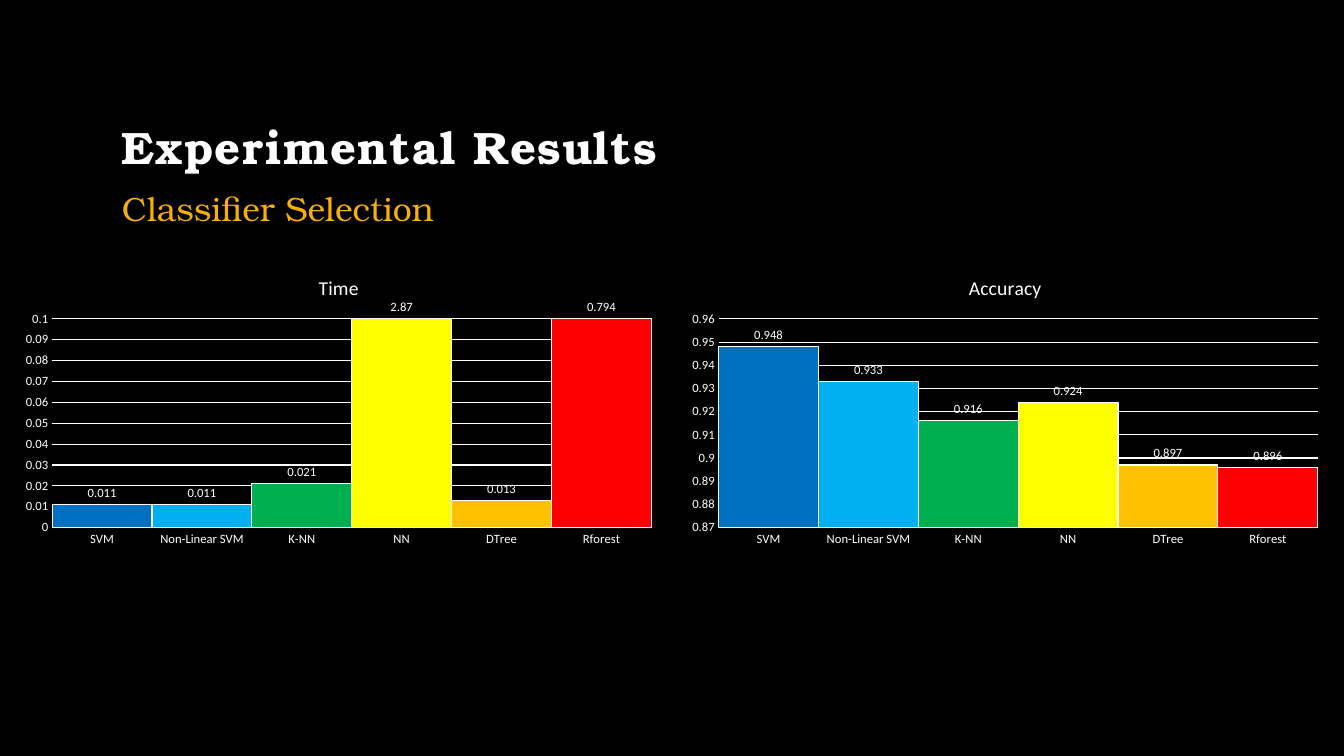
from lxml.etree import SubElement
from pptx import Presentation
from pptx.chart.data import CategoryChartData
from pptx.dml.color import RGBColor
from pptx.enum.chart import XL_CHART_TYPE, XL_LABEL_POSITION, XL_TICK_MARK
from pptx.enum.text import MSO_ANCHOR, MSO_AUTO_SIZE
from pptx.oxml.ns import qn
from pptx.util import Inches, Pt

WHITE = "FFFFFF"
SERIF = "TeX Gyre Bonum"


def color(code):
    return RGBColor.from_string(code)


def style(font, size, code=WHITE, name="Calibri", bold=False):
    font.size, font.name, font.bold = Pt(size), name, bold
    font.color.rgb = color(code)


deck = Presentation()
deck.slide_width, deck.slide_height = Inches(13.33), Inches(7.5)
slide = deck.slides.add_slide(deck.slide_layouts[1])
slide.background.fill.solid()
slide.background.fill.fore_color.rgb = color("000000")

# Headings
title, body = slide.placeholders
headings = [
    (title, "Experimental Results", 1.23, 10.59, MSO_ANCHOR.BOTTOM, 32.4, WHITE, True),
    (body, "Classifier Selection", 1.86, 12.13, MSO_ANCHOR.TOP, 24, "F8B004", False),
]
for holder, text, top, width, anchor, size, code, bold in headings:
    holder.left, holder.top = Inches(1.11), Inches(top)
    holder.width, holder.height = Inches(width), Inches(0.55)
    frame = holder.text_frame
    frame.text = text
    frame.auto_size = MSO_AUTO_SIZE.NONE
    frame.vertical_anchor = anchor
    line = frame.paragraphs[0]
    line.line_spacing = 0.9
    style(line.runs[0].font, size, code, SERIF, bold)
    props = line._p.get_or_add_pPr()
    props.set("algn", "l")
    props.set("marL", "0")
    props.set("indent", "0")
    if holder is body:
        line.space_before = Pt(18)
        SubElement(props, qn("a:buNone"))
    else:
        line.runs[0]._r.get_or_add_rPr().set("spc", "100")

# Charts
models = ["SVM", "Non-Linear SVM", "K-NN", "NN", "DTree", "Rforest"]
fills = ["0070C0", "00B0F0", "00B050", "FFFF00", "FFC000", "FF0000"]
inner = {"x": 0.06, "y": 0.204, "w": 0.92, "h": 0.712}
charts = [
    ("Time", 0.13, 0, 0.1, [0.011, 0.011, 0.021, 2.87, 0.013, 0.794]),
    ("Accuracy", 6.74, 0.87, 0.96, [0.948, 0.933, 0.916, 0.924, 0.897, 0.896]),
]
for name, left, low, high, values in charts:
    data = CategoryChartData()
    data.categories = models
    data.add_series("Series 1", values)
    chart = slide.shapes.add_chart(
        XL_CHART_TYPE.COLUMN_CLUSTERED,
        Inches(left), Inches(2.57), Inches(6.46), Inches(2.91), data,
    ).chart
    style(chart.font, 10)
    chart.has_legend = False
    chart.has_title = True
    chart.chart_title.text_frame.text = name
    style(chart.chart_title.text_frame.paragraphs[0].runs[0].font, 14)
    chart.chart_title.include_in_layout = False

    axes = chart.category_axis, chart.value_axis
    for axis in axes:
        axis.major_tick_mark = axis.minor_tick_mark = XL_TICK_MARK.NONE
        style(axis.tick_labels.font, 9)
    cats, scale = axes
    scale.minimum_scale, scale.maximum_scale, scale.major_unit = low, high, 0.01
    scale.has_major_gridlines = True
    scale.format.line.fill.background()

    plot = chart.plots[0]
    plot.gap_width, plot.overlap = 0, -27
    plot.vary_by_categories = False
    bars = plot.series[0]
    bars.format.fill.solid()
    bars.format.fill.fore_color.rgb = color("56C5FF")
    formats = [cats.format, scale.major_gridlines.format, bars.format]
    for index, code in enumerate(fills):
        point = bars.points[index].format
        point.fill.solid()
        point.fill.fore_color.rgb = color(code)
        formats.append(point)
    for item in formats:
        item.line.color.rgb = color(WHITE)
        item.line.width = Pt(0.75)

    labels = bars.data_labels
    labels.show_value = True
    labels.position = XL_LABEL_POSITION.OUTSIDE_END
    style(labels.font, 9)

    # Fix the inner plot area so both charts line up
    area = chart._chartSpace.chart.plotArea
    layout = area.find(qn("c:layout"))
    if layout is None:
        layout = SubElement(area, qn("c:layout"))
        area.insert(0, layout)
    manual = SubElement(layout, qn("c:manualLayout"))
    SubElement(manual, qn("c:layoutTarget")).set("val", "inner")
    for side in "xy":
        SubElement(manual, qn(f"c:{side}Mode")).set("val", "edge")
    for side, share in inner.items():
        SubElement(manual, qn(f"c:{side}")).set("val", str(share))

deck.save("out.pptx")
